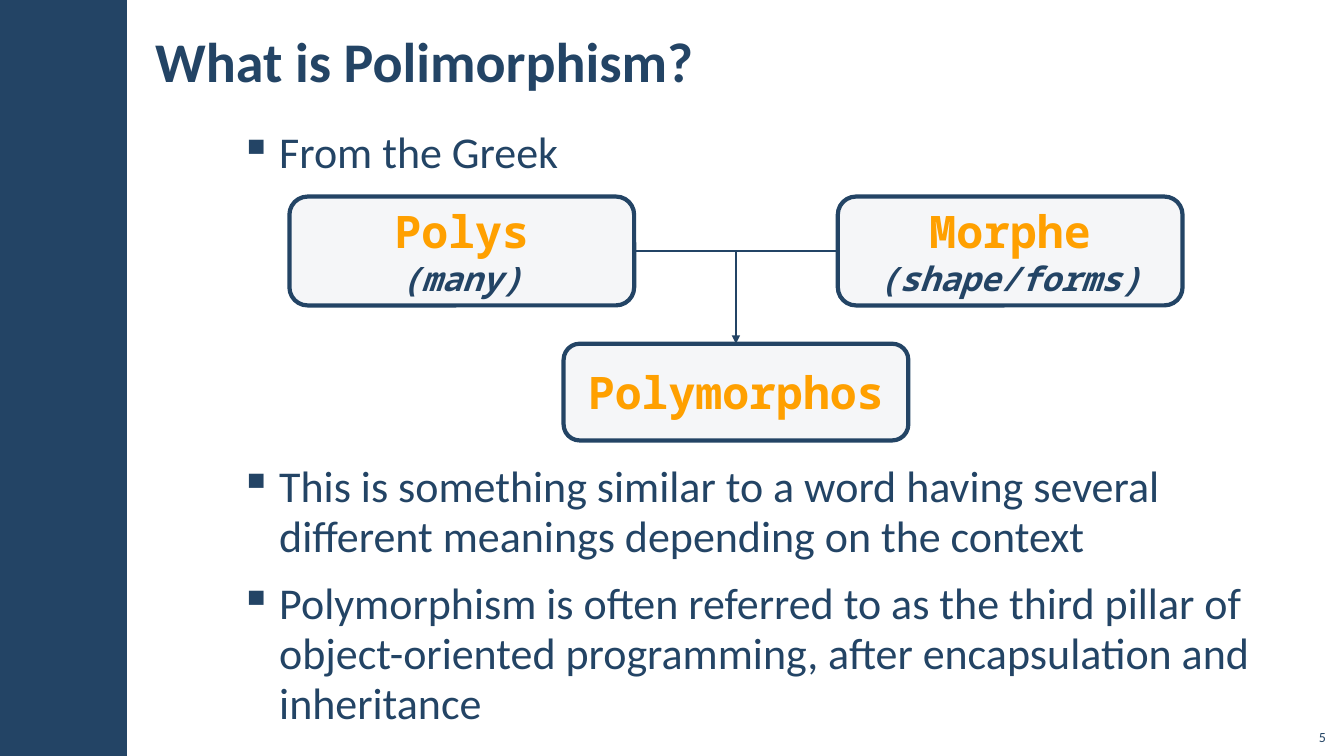
from lxml import etree
from pptx import Presentation, util as u
from pptx.dml.color import RGBColor
from pptx.enum import shapes, text
from pptx.oxml.ns import qn

COLORS = {"navy": "234465", "panel": "C2C7D2", "orange": "FFA000"}

presentation = Presentation()
presentation.slide_width = u.Inches(13.33)
presentation.slide_height = u.Inches(7.5)
slide = presentation.slides.add_slide(presentation.slide_layouts[6])
column = presentation.slide_width / 100
row = presentation.slide_height / 100


def area(left, top, width, height):
    """Turn percentages of the slide into lengths."""
    return [round(n * unit) for n, unit in
            zip((left, top, width, height), (column, row, column, row))]


def write(shape, lines, anchor, align, wrap=True):
    """Fill a shape with (text, size, font, color, bold, italic) lines."""
    frame = shape.text_frame
    frame.word_wrap = wrap
    frame.vertical_anchor = anchor
    for index, (words, size, font, color, bold, italic) in enumerate(lines):
        paragraph = frame.add_paragraph() if index else frame.paragraphs[0]
        paragraph.text = words
        paragraph.alignment = align
        paragraph.font.size = u.Pt(size)
        paragraph.font.name = font
        paragraph.font.color.rgb = RGBColor.from_string(COLORS[color])
        paragraph.font.bold = bold
        paragraph.font.italic = italic
    return frame


# Side band
band = slide.shapes.add_shape(shapes.MSO_SHAPE.RECTANGLE, *area(0, 0, 9.45, 100))
band.shadow.inherit = False
band.fill.solid()
band.fill.fore_color.rgb = RGBColor.from_string(COLORS["navy"])
band.line.fill.background()

# Bulleted text, with room for the diagram after the first point
points = [
    ("From the Greek", 6),
    ("This is something similar to a word having several "
     "different meanings depending on the context", 197),
    ("Polymorphism is often referred to as the third pillar of "
     "object-oriented programming, after encapsulation and inheritance", 6),
]
body = slide.shapes.add_textbox(*area(16.95, 16.4, 81.47, 83.6))
body_frame = write(
    body, [(words, 31.4, "Calibri", "navy", False, False) for words, gap in points],
    text.MSO_ANCHOR.TOP, text.PP_ALIGN.LEFT)
for paragraph, (words, gap) in zip(body_frame.paragraphs, points):
    paragraph.line_spacing = 0.95
    paragraph.space_before = u.Pt(gap)
    paragraph.space_after = u.Pt(6)
    properties = paragraph._p.get_or_add_pPr()
    properties.set("marL", str(u.Inches(0.39)))
    properties.set("indent", str(-u.Inches(0.39)))
    etree.SubElement(properties, qn("a:buChar")).set("char", "▪")
    properties.append(properties.find(qn("a:defRPr")))

# Title
title = slide.shapes.add_textbox(*area(10.65, 1.47, 70.74, 12.93))
title_frame = write(
    title, [("What is Polimorphism?", 40, "Calibri", "navy", True, False)],
    text.MSO_ANCHOR.MIDDLE, text.PP_ALIGN.LEFT)
for frame in (body_frame, title_frame):
    frame.margin_left = frame.margin_right = u.Inches(0.12)
    frame.margin_top = frame.margin_bottom = u.Inches(0.04)

# Word boxes, placed around a common centre
CENTER, OFFSET, BOX_WIDTH = 54.76, 20.4, 25.65
boxes = []
for word, meaning, shift, top, height in [
    ("Polys", "(many)", -OFFSET, 26, 14.4),
    ("Morphe", "(shape/forms)", OFFSET, 26, 14.4),
    ("Polymorphos", None, 0, 45.47, 12.8),
]:
    box = slide.shapes.add_shape(
        shapes.MSO_SHAPE.ROUNDED_RECTANGLE,
        *area(CENTER + shift - BOX_WIDTH / 2, top, BOX_WIDTH, height))
    box.shadow.inherit = False
    box.fill.solid()
    box.fill.fore_color.rgb = RGBColor.from_string(COLORS["panel"])
    fill_color = box.fill._xPr.find(qn("a:solidFill"))[0]
    etree.SubElement(fill_color, qn("a:alpha")).set("val", "15000")
    box.line.color.rgb = RGBColor.from_string(COLORS["navy"])
    box.line.width = u.Pt(3)
    lines = [(word, 32, "Noto Sans Mono", "orange", True, False)]
    if meaning:
        lines.append((meaning, 24, "Noto Sans Mono", "navy", True, True))
    write(box, lines, text.MSO_ANCHOR.MIDDLE, text.PP_ALIGN.CENTER, wrap=False)
    boxes.append(box)
polys, morphe, polymorphos = boxes

# Joining line and arrow
middle_x = round(CENTER * column)
middle_y = polys.top + polys.height // 2
bridge, arrow = [
    slide.shapes.add_connector(shapes.MSO_CONNECTOR.STRAIGHT, *ends) for ends in (
        (polys.left + polys.width, middle_y, morphe.left, middle_y),
        (middle_x, middle_y, middle_x, polymorphos.top))]
bridge.begin_connect(polys, 3)
bridge.end_connect(morphe, 1)
arrow.end_connect(polymorphos, 0)
for connector in (bridge, arrow):
    connector.line.color.rgb = RGBColor.from_string(COLORS["navy"])
    connector.line.width = u.Pt(2)
    etree.SubElement(connector._element.spPr, qn("a:effectLst"))
etree.SubElement(arrow.line._get_or_add_ln(), qn("a:tailEnd")).set("type", "triangle")

# Slide number
number = slide.shapes.add_textbox(*area(96.4, 94.93, 3, 4.27))
write(number, [("5", 10, "Calibri", "navy", False, False)],
      text.MSO_ANCHOR.BOTTOM, text.PP_ALIGN.RIGHT)

presentation.save("out.pptx")
